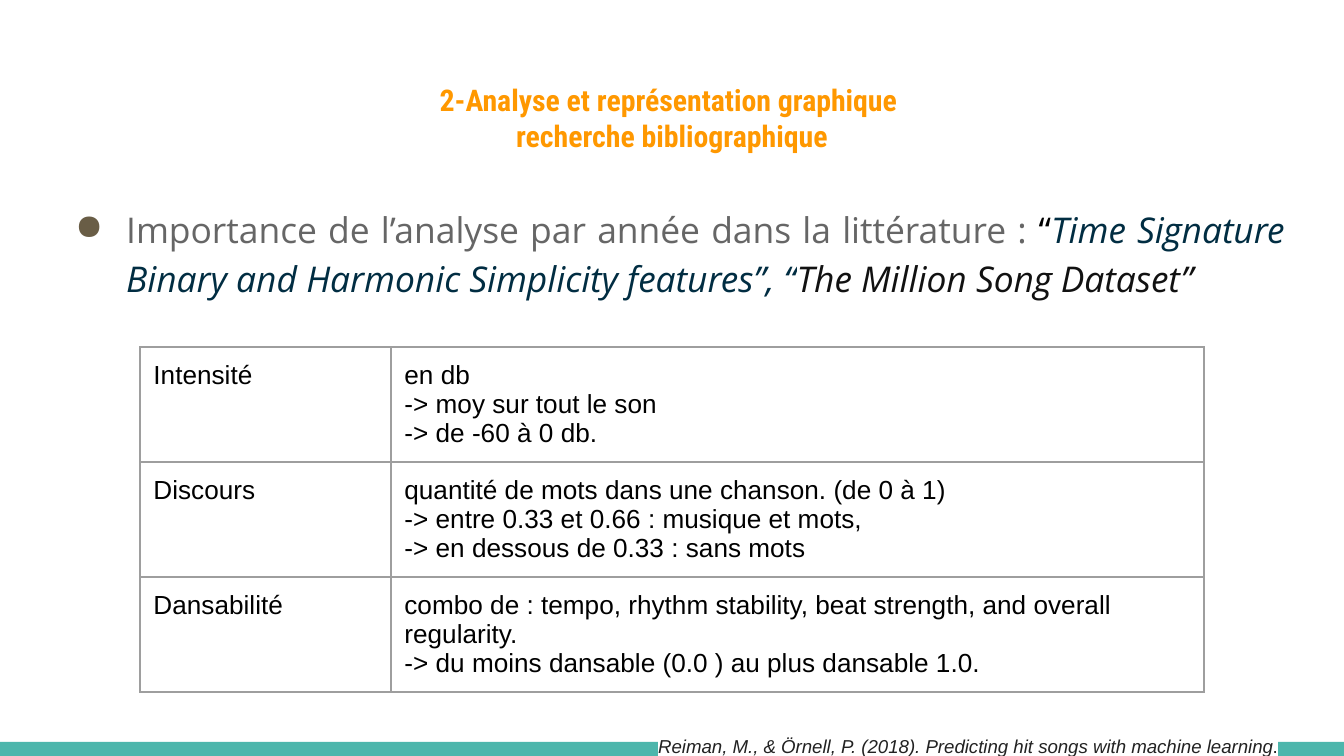
"""Build the slide on yearly analysis and bibliographic research."""
from lxml import etree
from pptx import Presentation, util as u
from pptx.dml.color import RGBColor
from pptx.enum import shapes, text
from pptx.oxml import ns

PX = 914400 / 134.4
WHITE = RGBColor(0xFF, 0xFF, 0xFF)
BLACK = RGBColor(0x00, 0x00, 0x00)
TEAL = RGBColor(0x4D, 0xB6, 0xAC)
ORANGE = RGBColor(0xFF, 0x98, 0x00)
GREY = RGBColor(0x66, 0x66, 0x66)
NAVY = RGBColor(0x01, 0x2D, 0x42)
INK = RGBColor(0x11, 0x11, 0x11)
CHARCOAL = RGBColor(0x22, 0x22, 0x22)
BROWN = RGBColor(0x69, 0x5D, 0x46)
BORDER = RGBColor(0x9E, 0x9E, 0x9E)
INSET = u.Inches(0.1)


def px(*lengths):
    return [u.Emu(round(length * PX)) for length in lengths]


def add_span(para, words, size, font, color, bold=False, italic=False, marked=False):
    span = para.add_run()
    span.text = words
    span.font.size = u.Pt(size)
    span.font.bold = bold
    span.font.italic = italic
    span.font.color.rgb = color
    if marked:
        highlight = etree.SubElement(span.font._element, ns.qn("a:highlight"))
        etree.SubElement(highlight, ns.qn("a:srgbClr"), val=str(WHITE))
    span.font.name = font


deck = Presentation()
deck.slide_width, deck.slide_height = px(1344, 756)
page = deck.slides.add_slide(deck.slide_layouts[5])
page.background.fill.solid()
page.background.fill.fore_color.rgb = WHITE

band = page.shapes.add_shape(shapes.MSO_SHAPE.RECTANGLE, *px(0, 742, 1344, 14))
band.shadow.inherit = False
band.fill.solid()
band.fill.fore_color.rgb = TEAL
band.line.fill.background()

title = page.shapes.title
title.left, title.top, title.width, title.height = px(46, 66, 1252, 103)
body = page.shapes.add_textbox(*px(46, 188, 1252, 485))
source = page.shapes.add_textbox(*px(645, 710, 692, 50))
for box in (title, body, source):
    frame = box.text_frame
    frame.word_wrap = True
    frame.auto_size = text.MSO_AUTO_SIZE.NONE
    frame.margin_left = frame.margin_right = INSET
    frame.margin_top = frame.margin_bottom = INSET

title.text_frame.vertical_anchor = text.MSO_ANCHOR.MIDDLE
title.text_frame.text = "\n"
headings = ("2-Analyse et représentation graphique ", "recherche bibliographique")
for para, words in zip(title.text_frame.paragraphs, headings):
    para.alignment = text.PP_ALIGN.CENTER
    add_span(para, words, 16, "Roboto Condensed", ORANGE, bold=True, marked=True)

para = body.text_frame.paragraphs[0]
para.alignment = text.PP_ALIGN.JUSTIFY
para.line_spacing = 1.15
properties = para._p.get_or_add_pPr()
indent, hanging = px(67, -51)
properties.set("marL", str(indent))
properties.set("indent", str(hanging))
bullet_color = etree.SubElement(properties, ns.qn("a:buClr"))
etree.SubElement(bullet_color, ns.qn("a:srgbClr"), val=str(BROWN))
etree.SubElement(properties, ns.qn("a:buChar"), char="●")
for words, color, cited in (
    ("Importance de l’analyse par année dans la littérature :", GREY, False),
    (" “", BLACK, False),
    ("Time Signature Binary and Harmonic Simplicity features”, “", NAVY, True),
    ("The Million Song Dataset”", INK, True),
):
    add_span(para, words, 19, "Open Sans", color, italic=cited, marked=cited)

features = (
    ("Intensité", "en db\n-> moy sur tout le son\n-> de -60 à 0 db."),
    ("Discours", "quantité de mots dans une chanson. (de 0 à 1)\n"
                 "-> entre 0.33 et 0.66 : musique et mots,\n"
                 "-> en dessous de 0.33 : sans mots"),
    ("Dansabilité", "combo de : tempo, rhythm stability, beat strength, and overall regularity.\n"
                    "-> du moins dansable (0.0 ) au plus dansable 1.0."),
)
table = page.shapes.add_table(3, 2, *px(140, 347, 1064, 345)).table
table.first_row = table.horz_banding = False
for column, width in zip(table.columns, px(251, 813)):
    column.width = width
for row, feature in zip(table.rows, features):
    row.height = px(115)[0]
    for cell, words in zip(row.cells, feature):
        cell.margin_left = cell.margin_right = INSET
        cell.margin_top = cell.margin_bottom = INSET
        cell_properties = cell._tc.get_or_add_tcPr()
        for side in ("lnL", "lnR", "lnT", "lnB"):
            edge = etree.SubElement(cell_properties, ns.qn("a:" + side), w=str(u.Pt(0.75)))
            paint = etree.SubElement(edge, ns.qn("a:solidFill"))
            etree.SubElement(paint, ns.qn("a:srgbClr"), val=str(BORDER))
        cell.fill.background()
        lines = words.split("\n")
        cell.text_frame.text = "\n" * (len(lines) - 1)
        for para, line in zip(cell.text_frame.paragraphs, lines):
            add_span(para, line, 14, "Arial", BLACK)

para = source.text_frame.paragraphs[0]
para.line_spacing = 1.5
para.space_after = u.Pt(12)
citation = "Reiman, M., & Örnell, P. (2018). Predicting hit songs with machine learning"
add_span(para, citation, 10, "Arial", CHARCOAL, italic=True, marked=True)
add_span(para, ".", 10, "Arial", CHARCOAL, marked=True)

deck.save("out.pptx")
